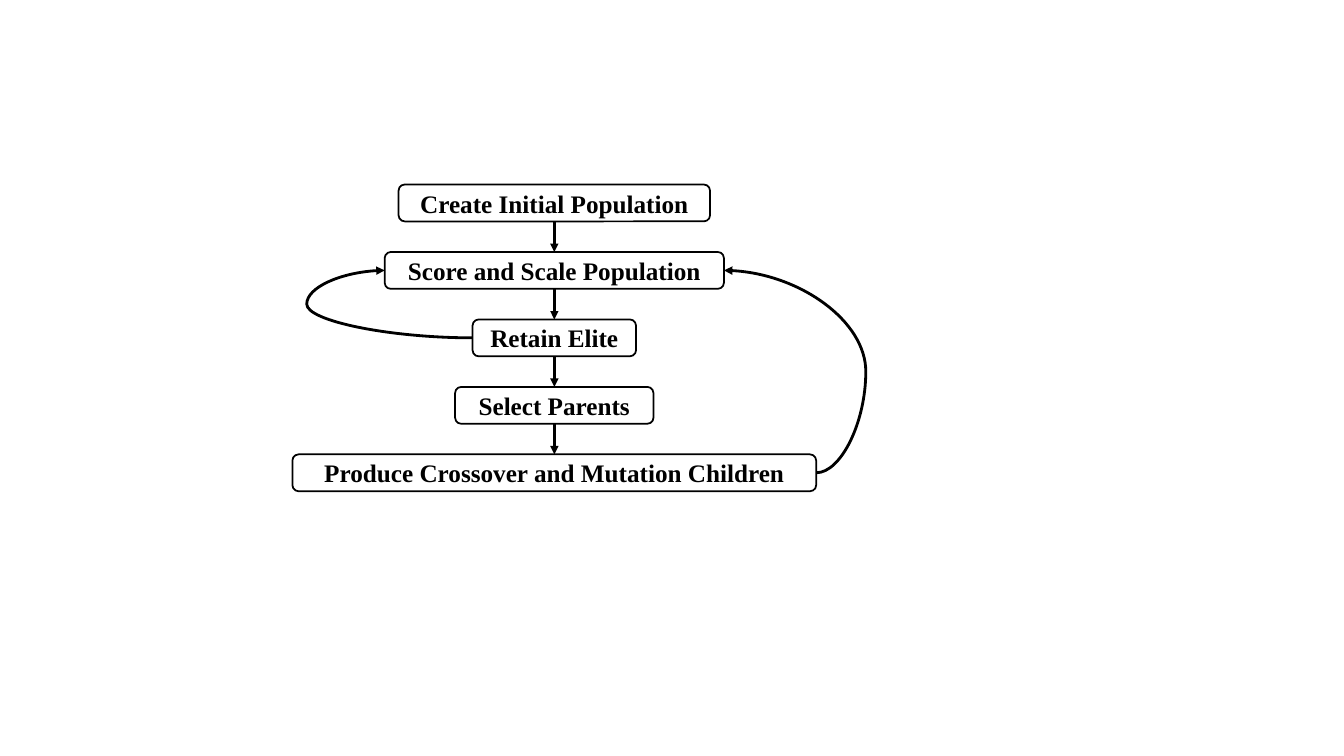
from dataclasses import dataclass

from pptx import Presentation
from pptx.dml.color import RGBColor
from pptx.enum.shapes import MSO_CONNECTOR as Link, MSO_SHAPE as Preset
from pptx.enum.text import MSO_ANCHOR as Anchor, PP_ALIGN as Align
from pptx.oxml.ns import qn
from pptx.oxml.xmlchemy import OxmlElement
from pptx.shapes.autoshape import Shape
from pptx.shapes.connector import Connector
from pptx.slide import Slide
from pptx.util import Cm, Pt


@dataclass(frozen=True)
class Theme:
    ink: RGBColor = RGBColor(0x00, 0x00, 0x00)
    paper: RGBColor = RGBColor(0xFF, 0xFF, 0xFF)
    font: str = "Times New Roman"
    text_size: Pt = Pt(18)
    outline: Pt = Pt(1.25)
    arrow: Pt = Pt(2)


@dataclass(frozen=True)
class Step:
    label: str
    width: float  # cm


@dataclass(frozen=True)
class Loop:
    source: int
    target: int
    site: int
    bulge: float  # cm from the source side, negative to the left


THEME = Theme()

# Column of steps, in cm
CENTER, TOP, PITCH, HEIGHT = 13.97, 4.65, 1.7, 0.93

# Connection sites of a rounded rectangle
ABOVE, LEFT, BELOW, RIGHT = range(4)

STEPS = [
    Step("Create Initial Population", 7.85),
    Step("Score and Scale Population", 8.55),
    Step("Retain Elite", 4.12),
    Step("Select Parents", 5.0),
    Step("Produce Crossover and Mutation Children", 13.2),
]
LOOPS = [Loop(2, 1, LEFT, -4.18), Loop(4, 1, RIGHT, 1.25)]


def draw_step(slide: Slide, step: Step, row: int) -> Shape:
    box = slide.shapes.add_shape(
        Preset.ROUNDED_RECTANGLE,
        Cm(CENTER - step.width / 2), Cm(TOP + row * PITCH),
        Cm(step.width), Cm(HEIGHT),
    )
    box.shadow.inherit = False
    box.fill.solid()
    box.fill.fore_color.rgb = THEME.paper
    box.line.color.rgb = THEME.ink
    box.line.width = THEME.outline
    box.text_frame.vertical_anchor = Anchor.MIDDLE
    paragraph = box.text_frame.paragraphs[0]
    paragraph.alignment = Align.CENTER
    run = paragraph.add_run()
    run.text = step.label
    run.font.name = THEME.font
    run.font.size = THEME.text_size
    run.font.bold = True
    run.font.color.rgb = THEME.ink
    return box


def draw_arrow(slide: Slide, kind: Link, source: Shape, source_site: int,
               target: Shape, target_site: int) -> Connector:
    arrow = slide.shapes.add_connector(kind, 0, 0, 0, 0)
    arrow.begin_connect(source, source_site)
    arrow.end_connect(target, target_site)
    arrow.line.color.rgb = THEME.ink
    arrow.line.width = THEME.arrow
    properties = arrow._element.spPr
    head = OxmlElement("a:tailEnd")
    head.set("type", "triangle")
    properties.find(qn("a:ln")).append(head)
    properties.append(OxmlElement("a:effectLst"))
    return arrow


def draw_loop(slide: Slide, loop: Loop, boxes: list[Shape]) -> None:
    arrow = draw_arrow(slide, Link.CURVE, boxes[loop.source], loop.site,
                       boxes[loop.target], loop.site)
    # The bend is a share of the way from start to end, in 1/100000
    bend = Cm(loop.bulge) / (arrow.end_x - arrow.begin_x)
    guide = OxmlElement("a:gd")
    guide.set("name", "adj1")
    guide.set("fmla", f"val {round(bend * 100000)}")
    geometry = arrow._element.spPr.find(qn("a:prstGeom"))
    geometry.get_or_add_avLst().append(guide)


def main() -> None:
    deck = Presentation()
    deck.slide_width, deck.slide_height = Cm(33.87), Cm(19.05)
    slide = deck.slides.add_slide(deck.slide_layouts[6])

    # Steps of the algorithm
    boxes = [draw_step(slide, step, row) for row, step in enumerate(STEPS)]

    # Feedback loops
    for loop in LOOPS:
        draw_loop(slide, loop, boxes)

    # Arrows down the column
    for upper, lower in zip(boxes, boxes[1:]):
        draw_arrow(slide, Link.STRAIGHT, upper, BELOW, lower, ABOVE)

    deck.save("out.pptx")


if __name__ == "__main__":
    main()
